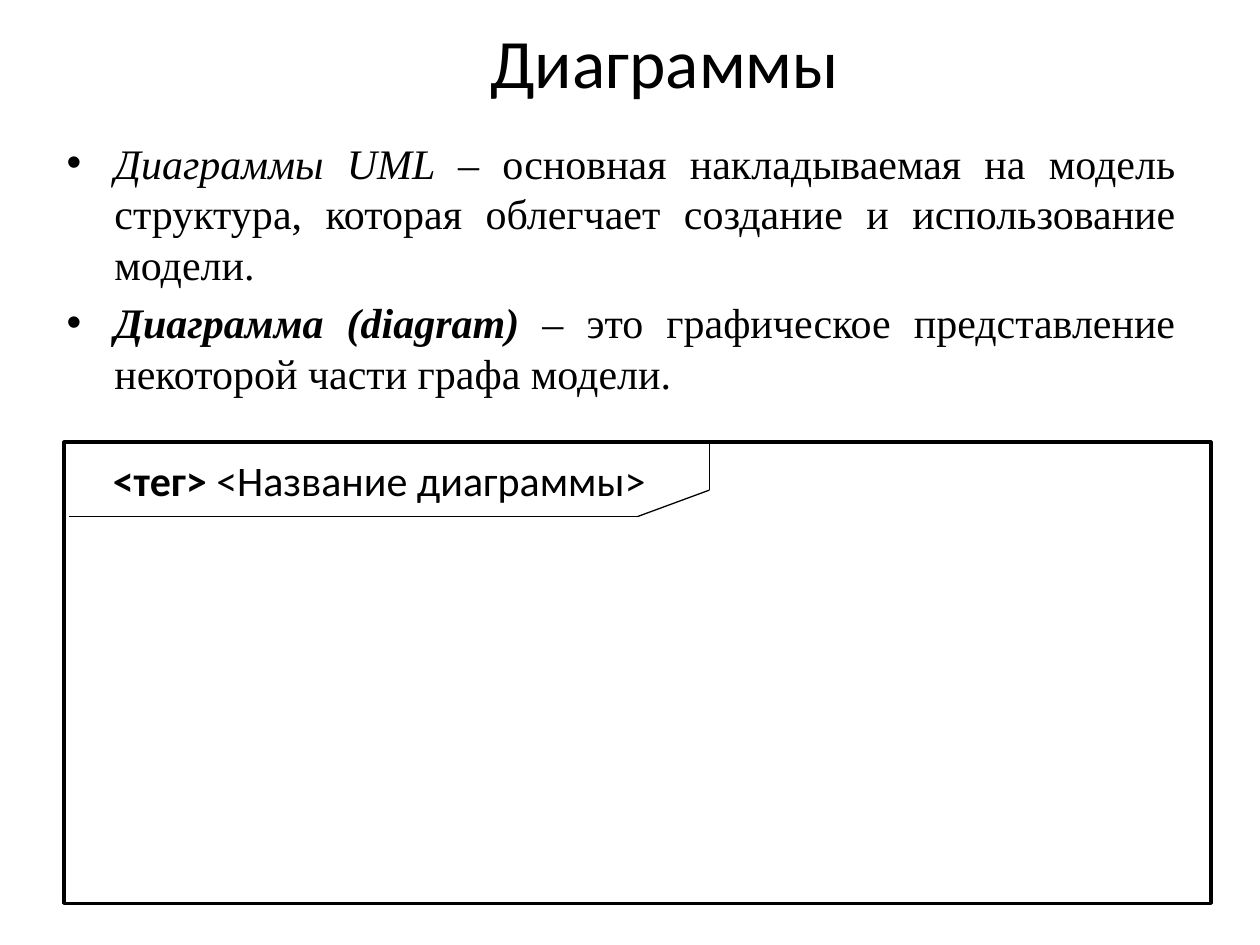
from lxml.etree import SubElement
from pptx import Presentation
from pptx.dml.color import RGBColor
from pptx.enum.shapes import MSO_CONNECTOR as Connector, MSO_SHAPE as Shape
from pptx.enum.text import MSO_ANCHOR as Anchor, PP_ALIGN as Align
from pptx.oxml.ns import qn
from pptx.util import Inches, Pt

BLACK = RGBColor(0x00, 0x00, 0x00)
WHITE = RGBColor(0xFF, 0xFF, 0xFF)
HEADING_FONT = "Calibri"
BODY_FONT = "Times New Roman"


class SlideBuilder:
    def __init__(self, page):
        self.page = page

    def text(self, left, top, width, height, paragraphs, font, size,
             align, anchor=Anchor.TOP, bottom=0.05, bullets=False):
        """Each paragraph is a list of (text, bold, italic) runs."""
        box = self.page.shapes.add_textbox(
            Inches(left), Inches(top), Inches(width), Inches(height))
        frame = box.text_frame
        frame.word_wrap = True
        frame.vertical_anchor = anchor
        frame.margin_bottom = Inches(bottom)
        for index, runs in enumerate(paragraphs):
            para = frame.paragraphs[0] if index == 0 else frame.add_paragraph()
            para.alignment = align
            if bullets:
                para.space_before = Pt(size * 0.2)
                self.bullet(para)
            for words, bold, italic in runs:
                span = para.add_run()
                span.text = words
                span.font.name = font
                span.font.size = Pt(size)
                span.font.bold = bold
                span.font.italic = italic
                span.font.color.rgb = BLACK

    def bullet(self, para, indent=0.38):
        props = para._p.get_or_add_pPr()
        props.set("marL", str(Inches(indent)))
        props.set("indent", str(-Inches(indent)))
        SubElement(props, qn("a:buFont"), typeface="Arial")
        SubElement(props, qn("a:buChar"), char="•")

    def frame(self, left, top, width, height, weight):
        box = self.page.shapes.add_shape(
            Shape.RECTANGLE, Inches(left), Inches(top), Inches(width), Inches(height))
        box.shadow.inherit = False
        box.fill.solid()
        box.fill.fore_color.rgb = WHITE
        box.line.color.rgb = BLACK
        box.line.width = Pt(weight)

    def line(self, start, end, weight=0.75):
        points = [Inches(value) for value in (*start, *end)]
        line = self.page.shapes.add_connector(Connector.STRAIGHT, *points)
        line.line.color.rgb = BLACK
        line.line.width = Pt(weight)
        SubElement(line._element.spPr, qn("a:effectLst"))


def main():
    deck = Presentation()
    deck.slide_width, deck.slide_height = Inches(10), Inches(7.5)
    builder = SlideBuilder(deck.slides.add_slide(deck.slide_layouts[6]))

    # Title
    builder.text(2.95, 0.15, 4.65, 0.67, [[("Диаграммы", False, False)]],
                 HEADING_FONT, 39.6, Align.CENTER, Anchor.MIDDLE)

    # Definitions
    definitions = [
        [("Диаграммы UML ", False, True),
         ("– основная накладываемая на модель структура, которая облегчает "
          "создание и использование модели.", False, False)],
        [("Диаграмма (diagram)", True, True),
         (" ‒ это графическое представление некоторой части графа модели.",
          False, False)],
    ]
    builder.text(0.43, 1.04, 9, 2.28, definitions, BODY_FONT, 24,
                 Align.JUSTIFY, bullets=True)

    # Diagram frame with its name tag
    frame_top = 3.51
    builder.frame(0.51, frame_top, 9.1, 3.66, 2)
    builder.text(0.55, 2.92, 4.92, 1.39,
                 [[("<тег> ", True, False), ("<Название диаграммы>", False, False)]],
                 HEADING_FONT, 24, Align.CENTER, Anchor.BOTTOM, bottom=0.3)

    # Tag outline with a cut corner
    outline = [(0.55, 4.1), (5.06, 4.1), (5.63, 3.89), (5.63, frame_top)]
    for start, end in zip(outline, outline[1:]):
        builder.line(start, end)

    deck.save("out.pptx")


if __name__ == "__main__":
    main()
